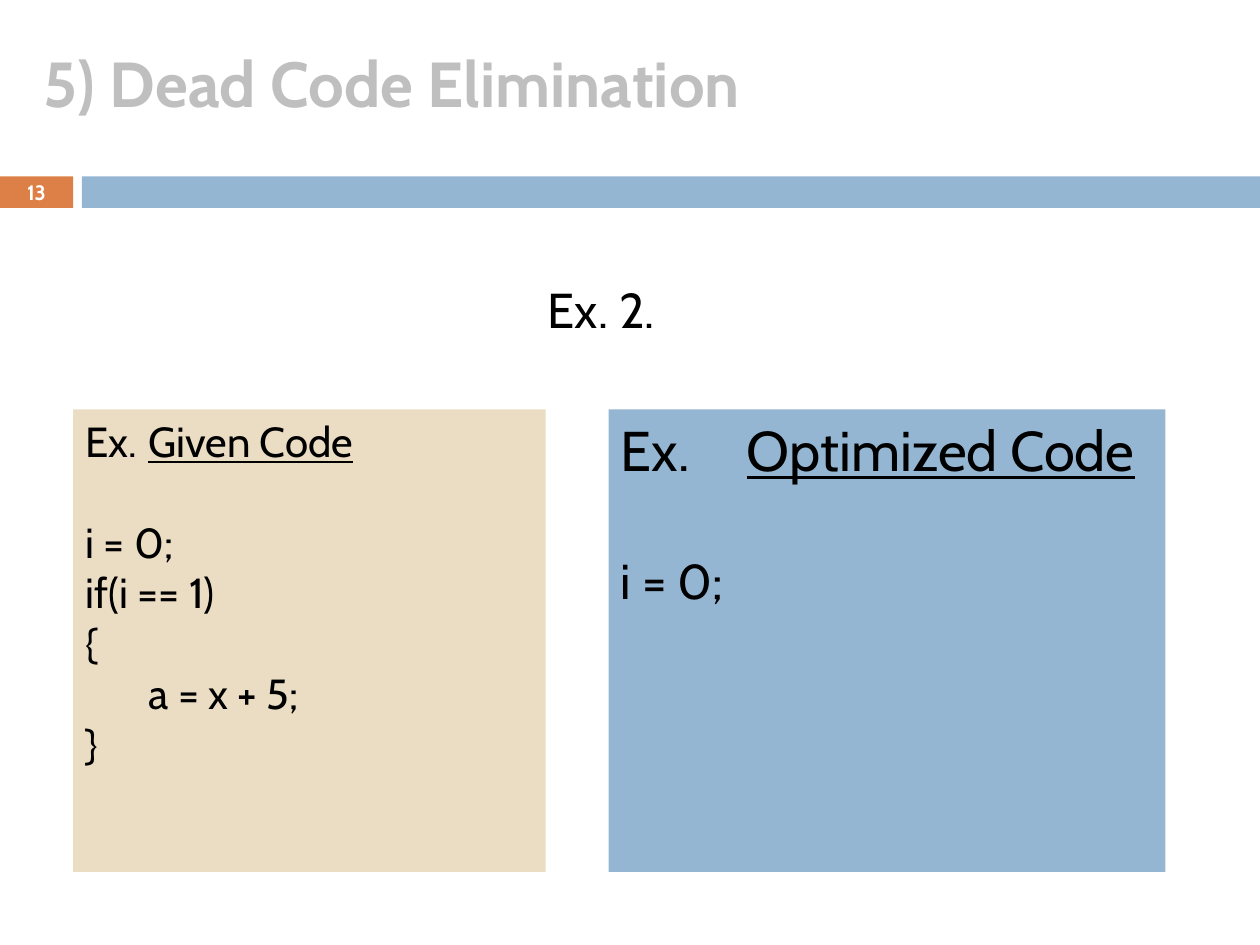
from pptx import Presentation
from pptx.dml.color import RGBColor
from pptx.enum.shapes import MSO_SHAPE
from pptx.enum.text import MSO_ANCHOR, MSO_AUTO_SIZE, PP_ALIGN
from pptx.util import Inches, Pt

FONT = "Cabin"
BLACK, WHITE, GRAY = "000000", "FFFFFF", "BFBFBF"
ORANGE, BLUE, SAND = "DD8047", "94B6D2", "EBDDC3"


def color(value):
    return RGBColor.from_string(value)


def style_run(run, size, text_color=BLACK, bold=False, underline=False):
    font = run.font
    font.name = FONT
    font.size = Pt(size)
    font.color.rgb = color(text_color)
    font.bold = bold
    font.underline = underline


def add_rectangle(slide, box, fill):
    shape = slide.shapes.add_shape(MSO_SHAPE.RECTANGLE, *map(Inches, box))
    shape.shadow.inherit = False
    shape.fill.solid()
    shape.fill.fore_color.rgb = color(fill)
    shape.line.fill.background()
    return shape


def add_label(slide, box, text, size, text_color=BLACK, bold=False,
              anchor=MSO_ANCHOR.TOP, align=PP_ALIGN.LEFT, wrap=True):
    shape = slide.shapes.add_textbox(*map(Inches, box))
    frame = shape.text_frame
    frame.word_wrap = wrap
    frame.vertical_anchor = anchor
    frame.text = text
    paragraph = frame.paragraphs[0]
    paragraph.alignment = align
    style_run(paragraph.runs[0], size, text_color, bold)
    return shape


def add_title(slide, box, text):
    title = add_label(slide, box, text, 36.3, GRAY, bold=True)
    title.text_frame.paragraphs[0].line_spacing = 0.8


def add_number_band(slide, box, number):
    left, top, width, height = box
    number_width, gap = 0.58, 0.07
    bar_left = left + number_width + gap
    add_rectangle(slide, (left, top, number_width, height), ORANGE)
    add_rectangle(slide, (bar_left, top, left + width - bar_left, height), BLUE)
    add_label(slide, (left, top - 0.01, number_width, height + 0.02), number, 11.9,
              WHITE, bold=True, anchor=MSO_ANCHOR.MIDDLE, align=PP_ALIGN.CENTER)


def add_example_label(slide, box, text):
    label = add_label(slide, box, text, 28, wrap=False)
    label.text_frame.auto_size = MSO_AUTO_SIZE.SHAPE_TO_FIT_TEXT


def add_code_panel(slide, box, fill, heading, heading_size, code, code_size):
    frame = add_rectangle(slide, box, fill).text_frame
    frame.word_wrap = True
    frame.vertical_anchor = MSO_ANCHOR.TOP
    frame.text = "Ex.\t"
    paragraph = frame.paragraphs[0]
    paragraph.alignment = PP_ALIGN.LEFT
    style_run(paragraph.runs[0], heading_size)
    run = paragraph.add_run()
    run.text = heading
    style_run(run, heading_size, underline=True)
    for index, line in enumerate(code):
        paragraph = frame.add_paragraph()
        paragraph.text = line
        paragraph.alignment = PP_ALIGN.LEFT
        if index == 0:
            paragraph.space_before = Pt(heading_size * 1.2)
        style_run(paragraph.runs[0], code_size)


def main():
    presentation = Presentation()
    presentation.slide_width = Inches(10)
    presentation.slide_height = Inches(7.5)
    slide = presentation.slides.add_slide(presentation.slide_layouts[6])

    add_number_band(slide, (0, 1.4, 10, 0.25), "13")
    add_code_panel(slide, (0.58, 3.25, 3.75, 3.67), SAND, "Given Code", 24,
                   ["i = 0;", "if(i == 1)", "{", "\ta = x + 5;", "}"], 24)
    add_code_panel(slide, (4.83, 3.25, 4.42, 3.67), BLUE, "Optimized Code", 32,
                   ["i = 0;"], 28)
    add_example_label(slide, (4.25, 2.17, 1.07, 0.57), "Ex. 2.")
    add_title(slide, (0.25, 0.42, 9.33, 1.08), "5) Dead Code Elimination")

    presentation.save("out.pptx")


if __name__ == "__main__":
    main()
